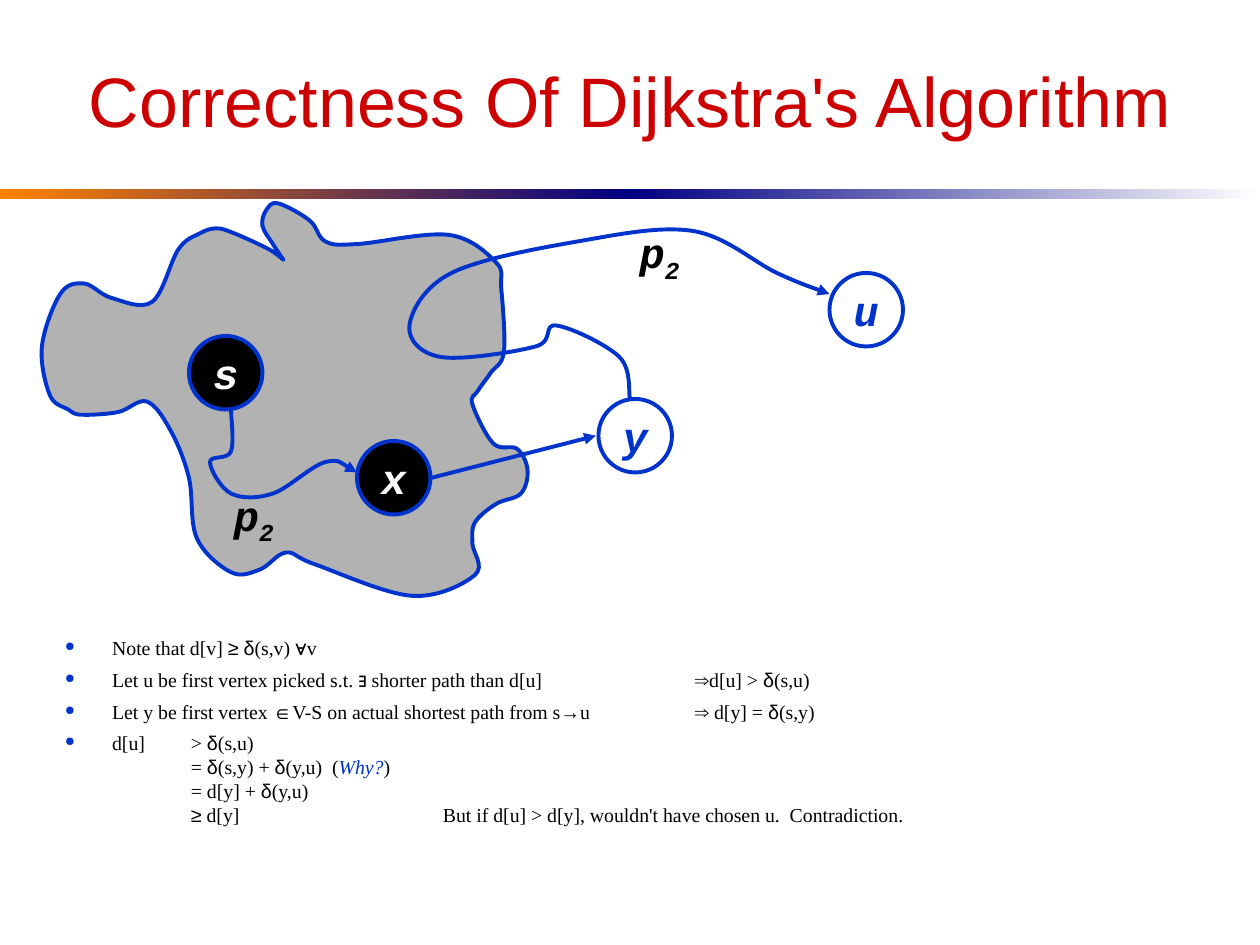
from dataclasses import dataclass
from itertools import groupby

from lxml.etree import SubElement
from pptx import Presentation
from pptx.dml.color import RGBColor
from pptx.enum.shapes import MSO_CONNECTOR, MSO_SHAPE
from pptx.enum.text import MSO_ANCHOR, MSO_AUTO_SIZE, PP_ALIGN
from pptx.oxml.ns import qn
from pptx.util import Pt

PX = 9525  # EMU per px, 96 px to the inch
NODE_SIZE = 56
TAB = 96
INDENT = 36

BLACK = RGBColor(0x00, 0x00, 0x00)
WHITE = RGBColor(0xFF, 0xFF, 0xFF)
BLUE = RGBColor(0x00, 0x33, 0xCC)
RED = RGBColor(0xCC, 0x00, 0x00)
GRAY = RGBColor(0xB2, 0xB2, 0xB2)
ORANGE = RGBColor(0xFF, 0x82, 0x00)
NAVY = RGBColor(0x00, 0x00, 0x82)

SYMBOLS = "≥δ∀∃⇒∈→"  # set in Arial, the other text in Times New Roman


@dataclass
class Band:
    x: int
    start: RGBColor
    end: RGBColor


@dataclass
class Node:
    name: str
    x: int
    y: int
    fill: RGBColor
    color: RGBColor


@dataclass
class Label:
    x: int
    y: int


BANDS = [Band(0, ORANGE, NAVY), Band(480, NAVY, WHITE)]
NODES = [
    Node("s", 144, 256, BLACK, WHITE),
    Node("x", 272, 336, BLACK, WHITE),
    Node("y", 456, 304, WHITE, BLUE),
    Node("u", 632, 208, WHITE, BLUE),
]
LABELS = [Label(478, 168), Label(169, 368)]

# Points that the smooth curves run through
CLOUD = [
    (216, 198), (205, 190), (179, 178), (165, 174), (152, 178), (136, 190), (116, 230),
    (85, 227), (64, 216), (46, 224), (32, 264), (38, 301), (52, 312), (62, 316),
    (90, 314), (112, 306), (130, 328), (144, 364), (150, 410), (176, 436), (198, 434),
    (218, 421), (240, 430), (314, 454), (362, 438), (360, 414), (362, 398), (378, 384),
    (397, 376), (402, 358), (394, 342), (376, 338), (360, 308), (364, 298), (374, 284),
    (384, 268), (382, 220), (378, 200), (342, 179), (272, 186), (248, 184), (236, 168),
    (212, 155), (203, 160), (200, 172), (208, 186), (216, 198),
]
PATH_S_X = [(176, 312), (176, 344), (160, 352), (176, 376), (208, 376), (248, 352),
            (272, 360)]
PATH_Y_U = [(480, 304), (472, 272), (424, 248), (408, 264), (336, 272), (312, 248),
            (344, 208), (440, 184), (528, 176), (592, 208), (632, 224)]

# Text between asterisks is emphasised
NOTES = [
    ["Note that d[v] ≥ δ(s,v) ∀v"],
    ["Let u be first vertex picked s.t. ∃ shorter path than d[u] \t\t⇒d[u] > δ(s,u)"],
    ["Let y be first vertex ∈V-S on actual shortest path from s→u \t⇒ d[y] = δ(s,y)"],
    ["d[u]\t> δ(s,u)",
     "\t= δ(s,y) + δ(y,u)  (*Why?*)",
     "\t= d[y] + δ(y,u)",
     "\t≥ d[y]\t\tBut if d[u] > d[y], wouldn't have chosen u.  Contradiction."],
]


def box(x: int, y: int, w: int, h: int) -> list[int]:
    return [v * PX for v in (x, y, w, h)]


def add_run(p, text: str, font: str, size: float, color: RGBColor, bold=None, italic=None):
    r = p.add_run()
    r.text = text
    f = r.font
    f.name, f.size, f.bold, f.italic = font, Pt(size), bold, italic
    f.color.rgb = color
    return r


def set_line(s, arrow: bool = False) -> None:
    s.line.color.rgb = BLUE
    s.line.width = Pt(2.25)
    if arrow:
        SubElement(s._element.spPr.find(qn("a:ln")), qn("a:tailEnd"), type="triangle")


def add_curve(shapes, points: list[tuple[int, int]], fill: RGBColor | None = None) -> None:
    """Smooth curve through the points: filled and closed, or open with an arrowhead."""
    padded = [points[0], *points, points[-1]]
    knots = []
    for a, b, c, d in zip(padded, padded[1:], padded[2:], padded[3:]):
        knots += [
            tuple(q + (r - p) / 6 for p, q, r in zip(a, b, c)),
            tuple(r - (t - q) / 6 for q, r, t in zip(b, c, d)),
            c,
        ]
    x, y = points[0]
    fb = shapes.build_freeform(x * PX, y * PX)
    fb.add_line_segments([(round(u * PX), round(v * PX)) for u, v in knots],
                         close=fill is not None)
    s = fb.convert_to_shape()
    s.shadow.inherit = False

    # Every three line ends become one cubic segment
    lines = list(s._element.iter(qn("a:lnTo")))
    for i in range(0, len(lines), 3):
        lines[i].tag = qn("a:cubicBezTo")
        for other in lines[i + 1:i + 3]:
            lines[i].append(other[0])
            other.getparent().remove(other)

    if fill is None:
        s.fill.background()
    else:
        s.fill.solid()
        s.fill.fore_color.rgb = fill
    set_line(s, arrow=fill is None)


def add_band(shapes, band: Band) -> None:
    s = shapes.add_shape(MSO_SHAPE.RECTANGLE, *box(band.x, 144, 480, 8))
    s.shadow.inherit = False
    s.line.fill.background()
    s.fill.gradient()
    s.fill.gradient_angle = 0
    for stop, color in zip(s.fill.gradient_stops, (band.start, band.end)):
        stop.color.rgb = color


def add_node(shapes, node: Node) -> None:
    s = shapes.add_shape(MSO_SHAPE.OVAL, *box(node.x, node.y, NODE_SIZE, NODE_SIZE))
    s.shadow.inherit = False
    s.fill.solid()
    s.fill.fore_color.rgb = node.fill
    set_line(s)
    tf = s.text_frame
    tf.word_wrap = False
    tf.vertical_anchor = MSO_ANCHOR.MIDDLE
    p = tf.paragraphs[0]
    p.alignment = PP_ALIGN.CENTER
    add_run(p, node.name, "Courier New", 24, node.color, True, True)


def add_label(shapes, label: Label) -> None:
    tf = shapes.add_textbox(*box(label.x, label.y, 49, 54)).text_frame
    tf.word_wrap = False
    tf.auto_size = MSO_AUTO_SIZE.NONE
    tf.margin_left = tf.margin_right = 0  # keeps letter and subscript on one line
    p = tf.paragraphs[0]
    p.alignment = PP_ALIGN.CENTER
    add_run(p, "p", "Courier New", 24, BLACK, True, True)
    r = add_run(p, "2", "Courier New", 24, BLACK, True, True)
    r.font._element.set("baseline", "-25000")


def add_note(p, lines: list[str]) -> None:
    p.space_before = Pt(4.5)
    pPr = p._p.get_or_add_pPr()
    pPr.set("marL", str(INDENT * PX))
    pPr.set("indent", str(-INDENT * PX))
    SubElement(SubElement(pPr, qn("a:buClr")), qn("a:srgbClr"), val=str(BLUE))
    SubElement(pPr, qn("a:buSzPct"), val="65000")
    SubElement(pPr, qn("a:buChar"), char="●")
    tabs = SubElement(pPr, qn("a:tabLst"))
    for i in range(1, 9):
        SubElement(tabs, qn("a:tab"), pos=str(i * TAB * PX), algn="l")
    for i, line in enumerate(lines):
        if i:
            p.add_line_break()
        for j, part in enumerate(line.split("*")):
            for symbol, chars in groupby(part, key=lambda ch: ch in SYMBOLS):
                add_run(p, "".join(chars), "Arial" if symbol else "Times New Roman",
                        11.3, BLUE if j % 2 else BLACK, italic=bool(j % 2))


def main() -> None:
    prs = Presentation()
    prs.slide_width, prs.slide_height = 960 * PX, 720 * PX
    slide = prs.slides.add_slide(prs.slide_layouts[5])
    shapes = slide.shapes

    # Title and the rule under it
    title = shapes.title
    title.left, title.top, title.width, title.height = box(48, 24, 864, 104)
    tf = title.text_frame
    tf.auto_size = MSO_AUTO_SIZE.NONE
    tf.vertical_anchor = MSO_ANCHOR.MIDDLE
    tf.paragraphs[0].alignment = PP_ALIGN.CENTER
    add_run(tf.paragraphs[0], "Correctness Of Dijkstra's Algorithm", "Arial", 40, RED)
    for band in BANDS:
        add_band(shapes, band)

    # Proof notes
    tf = shapes.add_textbox(*box(40, 480, 880, 200)).text_frame
    tf.word_wrap = True
    for i, lines in enumerate(NOTES):
        add_note(tf.add_paragraph() if i else tf.paragraphs[0], lines)

    # Graph: set S, vertices, paths and their labels
    add_curve(shapes, CLOUD, GRAY)
    for node in NODES:
        add_node(shapes, node)
    add_curve(shapes, PATH_S_X)
    edge = shapes.add_connector(MSO_CONNECTOR.STRAIGHT, *box(329, 364, 454, 332))
    set_line(edge, arrow=True)
    SubElement(edge._element.spPr, qn("a:effectLst"))
    add_curve(shapes, PATH_Y_U)
    for label in LABELS:
        add_label(shapes, label)

    prs.save("out.pptx")


if __name__ == "__main__":
    main()
